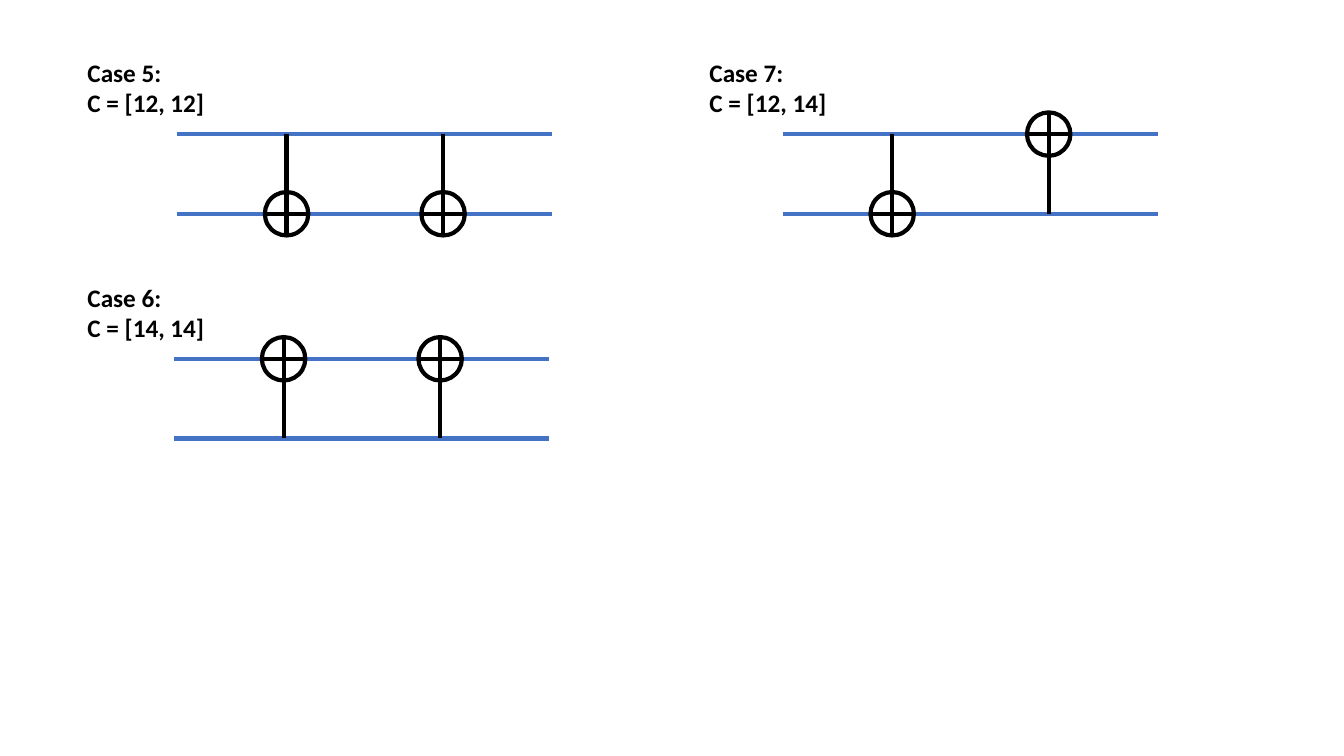
from lxml import etree
from pptx import Presentation
from pptx.dml.color import RGBColor
from pptx.enum.shapes import MSO_CONNECTOR, MSO_SHAPE
from pptx.enum.text import MSO_AUTO_SIZE
from pptx.oxml.ns import qn
from pptx.util import Pt

STRAIGHT = MSO_CONNECTOR.STRAIGHT
OVAL = MSO_SHAPE.OVAL
FIT_SHAPE = MSO_AUTO_SIZE.SHAPE_TO_FIT_TEXT
BLACK, WHITE, BLUE = "000000", "FFFFFF", "4472C4"
LINE_WIDTH = 3
RADIUS = 15.5
GATE_OFFSETS = (78, 189.8)
TARGET_BELOW = 12
LABEL_FONT = {"name": "Calibri", "size": Pt(18), "bold": True}
WIRE_W, WIRE_H = 267.6, 56.9
CASES = (
    (5, (12, 12), (55.4, 37.4), (126.7, 95.8, WIRE_W, WIRE_H)),
    (7, (12, 14), (499.7, 37.4), (559.3, 95.8, WIRE_W, WIRE_H)),
    (6, (14, 14), (55.4, 198), (124.6, 256.3, WIRE_W, WIRE_H)),
)


def color(value):
    """Return the colour for a hex string."""
    return RGBColor.from_string(value)


def add_line(shapes, x1, y1, x2, y2, hex_color):
    """Draw a straight line without a shadow."""
    line = shapes.add_connector(STRAIGHT, Pt(x1), Pt(y1), Pt(x2), Pt(y2))
    line.line.color.rgb = color(hex_color)
    line.line.width = Pt(LINE_WIDTH)
    etree.SubElement(line._element.spPr, qn("a:effectLst"))


def add_cnot(s, x, control_y, target_y):
    """Group a CNOT gate running from its control wire to its target wire."""
    shapes = s.shapes.add_group_shape().shapes
    sp = shapes.add_shape(OVAL, Pt(x - RADIUS), Pt(target_y - RADIUS),
                          Pt(2 * RADIUS), Pt(2 * RADIUS))
    sp.shadow.inherit = False
    sp.fill.solid()
    sp.fill.fore_color.rgb = color(WHITE)
    sp.line.color.rgb = color(BLACK)
    sp.line.width = Pt(LINE_WIDTH)
    end_y = target_y + (RADIUS if target_y > control_y else -RADIUS)
    add_line(shapes, x, control_y, x, end_y, BLACK)
    add_line(shapes, x - RADIUS, target_y, x + RADIUS, target_y, BLACK)


def add_circuit(s, box, codes):
    """Draw two wires along the box edges and a gate for each code."""
    x, y, w, h = box
    top, bottom = y, y + h
    for wire_y in (top, bottom):
        add_line(s.shapes, x, wire_y, x + w, wire_y, BLUE)
    for offset, code in zip(GATE_OFFSETS, codes):
        ends = (top, bottom) if code == TARGET_BELOW else (bottom, top)
        add_cnot(s, x + offset, *ends)


def add_label(s, x, y, number, codes):
    """Write the case number above its gate codes."""
    tf = s.shapes.add_textbox(Pt(x), Pt(y), Pt(98.6), Pt(50.9)).text_frame
    tf.word_wrap = False
    tf.auto_size = FIT_SHAPE
    tf.text = f"Case {number}:\nC = {list(codes)}"
    for p in tf.paragraphs:
        for r in p.runs:
            for name, value in LABEL_FONT.items():
                setattr(r.font, name, value)
            r.font.color.rgb = color(BLACK)


def build_slide(prs):
    """Add the slide with every case's circuit and label."""
    s = prs.slides.add_slide(prs.slide_layouts[6])
    for number, codes, label_at, box in CASES:
        add_circuit(s, box, codes)
        add_label(s, *label_at, number, codes)


prs = Presentation()
prs.slide_width, prs.slide_height = Pt(960), Pt(540)
build_slide(prs)
prs.save("out.pptx")
